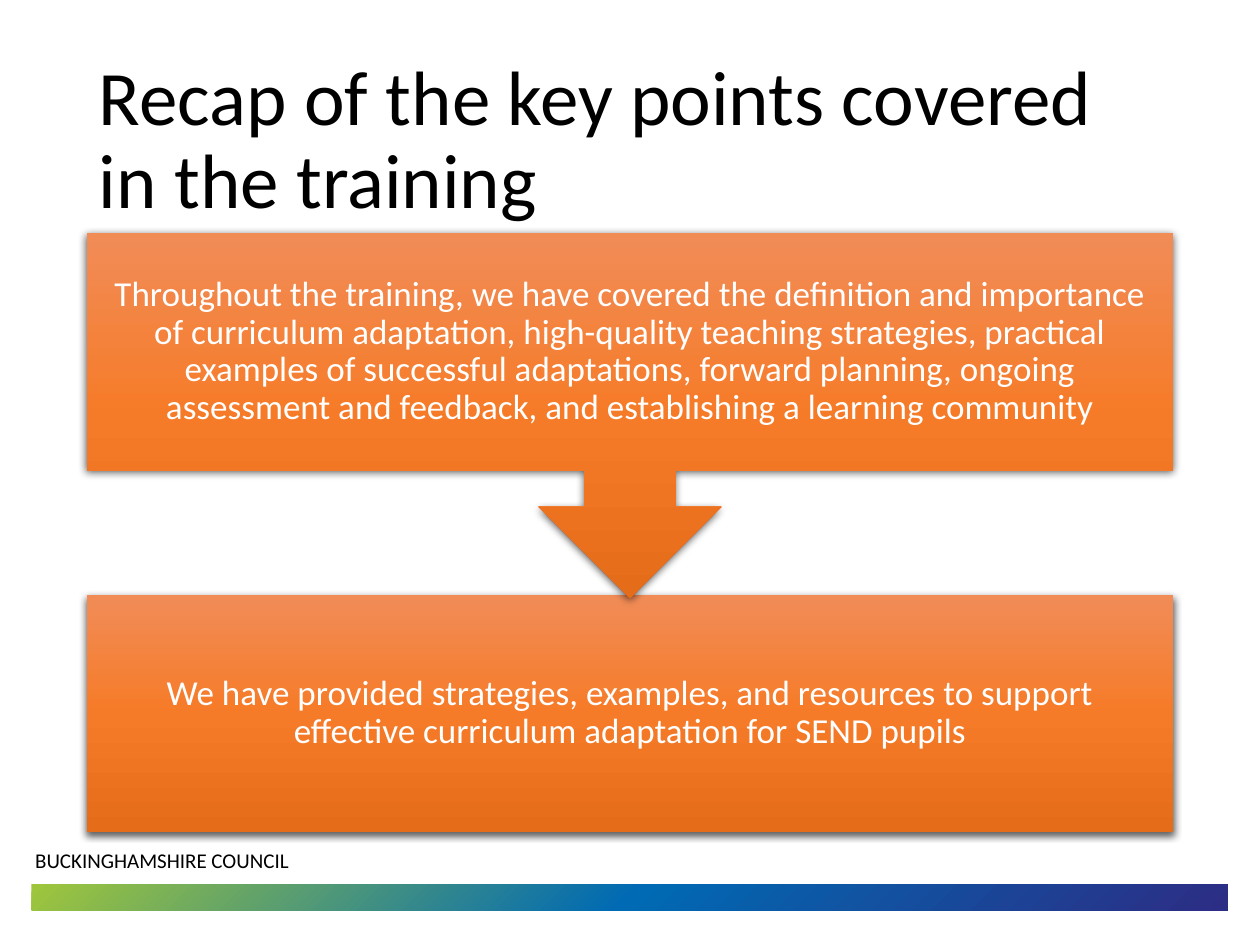
import pptx
import pptx.util
import pptx.dml.color
import pptx.enum.shapes
import pptx.enum.text
import pptx.oxml
import pptx.oxml.ns

Pt = pptx.util.Pt
RGB = pptx.dml.color.RGBColor
KIND = pptx.enum.shapes.MSO_SHAPE
ALIGN = pptx.enum.text.PP_ALIGN
ANCHOR = pptx.enum.text.MSO_ANCHOR

BLACK = RGB(0x00, 0x00, 0x00)
WHITE = RGB(0xFF, 0xFF, 0xFF)
ORANGE = [RGB(0xF1, 0x8C, 0x57), RGB(0xF6, 0x7B, 0x28), RGB(0xE5, 0x6C, 0x19)]
BAND = [RGB(0x2C, 0x2D, 0x84), RGB(0x00, 0x6A, 0xB4), RGB(0x9F, 0xC6, 0x3B)]

TITLE = "Recap of the key points covered in the training"
FOOTER = "BUCKINGHAMSHIRE COUNCIL"
STEPS = [
    "Throughout the training, we have covered the definition and importance "
    "of curriculum adaptation, high-quality teaching strategies, practical "
    "examples of successful adaptations, forward planning, ongoing "
    "assessment and feedback, and establishing a learning community",
    "We have provided strategies, examples, and resources to support "
    "effective curriculum adaptation for SEND pupils",
]

LEFT, WIDE = 49.5, 621
TOP, TALL, PITCH = 133.2, 135.5, 206.8
CALL = 208.6
INSET = 11.2

LINEAR = '<a:lin {} ang="5400000" scaled="0"/>'
RADIAL = '<a:path {} path="circle"><a:fillToRect l="100000" t="100000"/></a:path>'
SHADOW = (
    '<a:outerShdw {} blurRad="57150" dist="19050" dir="5400000" algn="ctr" '
    'rotWithShape="0"><a:srgbClr val="000000"><a:alpha val="63000"/>'
    '</a:srgbClr></a:outerShdw>'
)
STOPS = '<a:gsLst {}>{}</a:gsLst>'
STOP = '<a:gs pos="{}"><a:srgbClr val="{}"/></a:gs>'
SPACE = pptx.oxml.ns.nsdecls("a")


def shade(shape, tones, path):
    shape.fill.gradient()
    grad = shape._element.spPr.find(pptx.oxml.ns.qn("a:gradFill"))
    for child in list(grad):
        grad.remove(child)
    stops = "".join(STOP.format(i * 50000, tone) for i, tone in enumerate(tones))
    grad.append(pptx.oxml.parse_xml(STOPS.format(SPACE, stops)))
    grad.append(pptx.oxml.parse_xml(path.format(SPACE)))
    shape.line.fill.background()
    shape.shadow.inherit = False


def cast(shape):
    effect = shape._element.spPr.find(pptx.oxml.ns.qn("a:effectLst"))
    effect.append(pptx.oxml.parse_xml(SHADOW.format(SPACE)))


def write(shape, text, size, tone, frame, para):
    body = shape.text_frame
    for name, value in {"word_wrap": True, **frame}.items():
        setattr(body, name, value)
    line = body.paragraphs[0]
    line.text = text
    for name, value in para.items():
        setattr(line, name, value)
    font = line.runs[0].font
    for name, value in {"name": "Calibri", "size": Pt(size)}.items():
        setattr(font, name, value)
    font.color.rgb = tone


def main():
    deck = pptx.Presentation()
    deck.slide_width, deck.slide_height = Pt(720), Pt(540)
    shapes = deck.slides.add_slide(deck.slide_layouts[6]).shapes

    band = shapes.add_shape(KIND.RECTANGLE, Pt(18), Pt(505.3), Pt(683.5), Pt(14.8))
    shade(band, BAND, RADIAL)

    foot = shapes.add_textbox(Pt(13), Pt(481), Pt(346), Pt(21.8))
    write(foot, FOOTER, 12, BLACK, {}, {})

    title = shapes.add_textbox(Pt(LEFT), Pt(28.8), Pt(WIDE), Pt(104.4))
    write(title, TITLE, 44, BLACK,
          {"vertical_anchor": ANCHOR.MIDDLE}, {"line_spacing": 0.9})

    sides = ("left", "top", "right", "bottom")
    frame = {f"margin_{side}": Pt(INSET) for side in sides}
    frame["vertical_anchor"] = ANCHOR.MIDDLE
    para = {"alignment": ALIGN.CENTER, "line_spacing": 0.9}
    forms = [(KIND.DOWN_ARROW_CALLOUT, CALL), (KIND.RECTANGLE, TALL)]
    for i, (kind, tall) in reversed(list(enumerate(forms))):
        step = shapes.add_shape(
            kind, Pt(LEFT), Pt(TOP + i * PITCH), Pt(WIDE), Pt(tall))
        shade(step, ORANGE, LINEAR)
        cast(step)
        write(step, STEPS[i], 20, WHITE, frame, para)

    deck.save("out.pptx")


if __name__ == "__main__":
    main()
